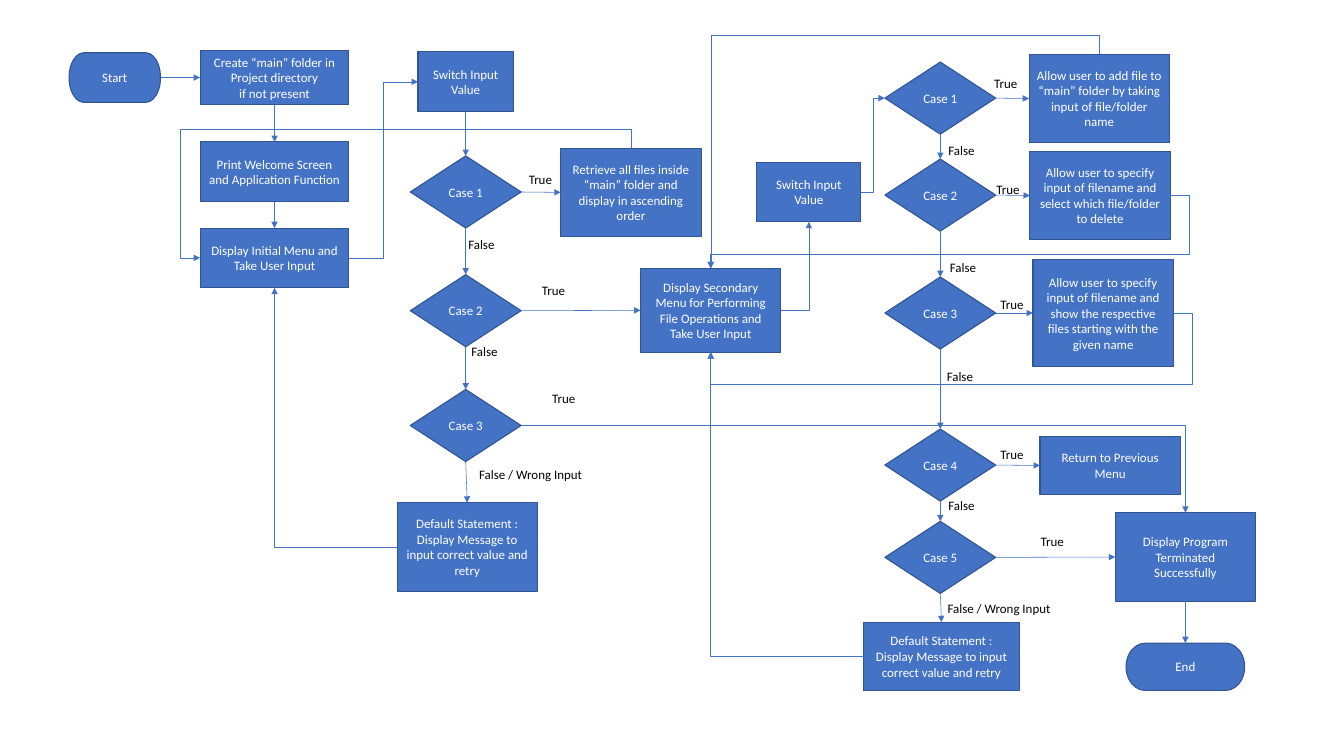
from lxml.etree import SubElement
from pptx import Presentation
from pptx.dml.color import RGBColor
from pptx.enum.shapes import MSO_CONNECTOR as CONNECTOR, MSO_SHAPE as SHAPE
from pptx.enum.text import MSO_ANCHOR as ANCHOR, MSO_AUTO_SIZE as AUTO_SIZE, PP_ALIGN as ALIGN
from pptx.oxml.ns import qn
from pptx.util import Inches, Pt

BLUE = RGBColor(0x44, 0x72, 0xC4)
BORDER = RGBColor(0x32, 0x54, 0x91)
WHITE = RGBColor(255, 255, 255)
BLACK = RGBColor(0, 0, 0)
TOP, LEFT, BOTTOM, RIGHT = range(4)
CASE_WIDTH, CASE_HEIGHT = 1.43, 0.93
ACTION_WIDTH, ACTION_HEIGHT = 1.81, 1.14
LABEL_WIDTHS = {"True": 0.5, "False": 0.54, "False / Wrong Input": 1.54}
RETRY = "Default Statement : Display Message to input correct value and retry"


def write(shape, text, color, align):
    """Write one formatted paragraph per line of text."""
    shape.text_frame.text = text
    for paragraph in shape.text_frame.paragraphs:
        paragraph.alignment = align
        font_format = {"name": "Calibri", "size": Pt(12)}
        for name, value in font_format.items():
            setattr(paragraph.font, name, value)
        paragraph.font.color.rgb = color


def add_node(slide, kind, text, left, top, width, height):
    """Add a blue flowchart node with centred white text."""
    shape = slide.shapes.add_shape(kind, *map(Inches, (left, top, width, height)))
    shape.shadow.inherit = False
    shape.fill.solid()
    shape.fill.fore_color.rgb = BLUE
    shape.line.color.rgb = BORDER
    shape.line.width = Pt(1)
    write(shape, text, WHITE, ALIGN.CENTER)
    frame_format = {"word_wrap": True, "vertical_anchor": ANCHOR.MIDDLE}
    for name, value in frame_format.items():
        setattr(shape.text_frame, name, value)
    return shape


def add_labels(slide, text, left, top, places):
    """Add the same branch label at each place within the region."""
    for x, y in places:
        box = slide.shapes.add_textbox(
            *map(Inches, (left + x, top + y, LABEL_WIDTHS[text], 0.3)))
        write(box, text, BLACK, ALIGN.LEFT)
        frame_format = {"word_wrap": False, "auto_size": AUTO_SIZE.SHAPE_TO_FIT_TEXT}
        for name, value in frame_format.items():
            setattr(box.text_frame, name, value)


def style_arrow(connector, arrow_end="tailEnd", preset=None, adjustments=()):
    """Format a connector, its arrowhead and its bends."""
    connector.line.color.rgb = BLUE
    connector.line.width = Pt(0.5)
    properties = connector._element.spPr
    SubElement(properties.find(qn("a:ln")), qn("a:" + arrow_end), type="triangle")
    SubElement(properties, qn("a:effectLst"))
    geometry = properties.find(qn("a:prstGeom"))
    if preset:
        geometry.set("prst", preset)
    for number, ratio in enumerate(adjustments, 1):
        SubElement(geometry.find(qn("a:avLst")), qn("a:gd"), name=f"adj{number}",
                   fmla=f"val {round(ratio * 100000)}")


def link(slide, start, start_side, end, end_side, kind=CONNECTOR.STRAIGHT, **bends):
    """Join the sides of two nodes with an arrow."""
    connector = slide.shapes.add_connector(kind, 0, 0, 0, 0)
    connector.begin_connect(start, start_side)
    connector.end_connect(end, end_side)
    style_arrow(connector, **bends)


def link_corner(slide, start, start_side, end, end_side):
    """Join two nodes with an arrow that turns once."""
    link(slide, start, start_side, end, end_side, CONNECTOR.ELBOW, preset="bentConnector2")


def link_chain(slide, nodes):
    """Join nodes downwards, one after the other."""
    for upper, lower in zip(nodes, nodes[1:]):
        link(slide, upper, BOTTOM, lower, TOP)


def link_over(slide, start, end, rise):
    """Join two node tops with an arrow that first rises."""
    start_x, end_x = (node.left + node.width // 2 for node in (start, end))
    width, height = end.top - start.top, start_x - end_x
    left = (start_x + end_x - width) // 2
    top = (start.top + end.top - height) // 2
    connector = slide.shapes.add_connector(
        CONNECTOR.ELBOW, left, top, left + width, top + height)
    connector._element.spPr.find(qn("a:xfrm")).set("rot", "5400000")
    style_arrow(connector, adjustments=[-Inches(rise) / width])


def add_cases(slide, left, tops):
    """Add a numbered column of decisions."""
    return [add_node(slide, SHAPE.FLOWCHART_DECISION, f"Case {number}",
                     left, top, CASE_WIDTH, CASE_HEIGHT)
            for number, top in enumerate(tops, 1)]


def add_setup(slide, left, top):
    """Add the start and setup steps; return the initial menu."""
    start = add_node(slide, SHAPE.FLOWCHART_TERMINATOR, "Start", left, top + 0.03, 1.18, 0.64)
    steps = [add_node(slide, SHAPE.RECTANGLE, text, left + 1.69, top + y, 1.92, height)
             for text, y, height in (
                 ("Create “main” folder in Project directory\nif not present", 0, 0.7),
                 ("Print Welcome Screen and Application Function", 1.18, 0.77),
                 ("Display Initial Menu and Take User Input", 2.29, 0.77))]
    link(slide, start, RIGHT, steps[0], LEFT)
    link_chain(slide, steps)
    return steps[-1]


def add_main_switch(slide, left, top, menu):
    """Add the initial menu's decisions; return them."""
    switch = add_node(slide, SHAPE.RECTANGLE, "Switch Input\nValue",
                      left + 0.39, top + 0.17, 1.23, 0.77)
    cases = add_cases(slide, left + 0.29, [top + y for y in (1.51, 3.04, 4.52)])
    retrieve = add_node(
        slide, SHAPE.FLOWCHART_PROCESS,
        "Retrieve all files inside “main” folder and display in ascending order",
        left + 2.23, top + 1.41, ACTION_WIDTH, ACTION_HEIGHT)
    retry = add_node(slide, SHAPE.FLOWCHART_PROCESS, RETRY,
                     left + 0.12, top + 5.98, ACTION_WIDTH, ACTION_HEIGHT)
    link(slide, menu, RIGHT, switch, LEFT, CONNECTOR.ELBOW)
    link_chain(slide, [switch, *cases, retry])
    link(slide, cases[0], RIGHT, retrieve, LEFT)
    link_corner(slide, retry, LEFT, menu, BOTTOM)
    link(slide, menu, LEFT, retrieve, TOP, CONNECTOR.ELBOW, arrow_end="headEnd",
         preset="bentConnector4", adjustments=[-0.045, 1.176])
    add_labels(slide, "True", left, top, [(1.72, 1.66), (1.89, 3.1), (2.02, 4.49)])
    add_labels(slide, "False", left, top, [(0.94, 2.5), (0.98, 3.88)])
    add_labels(slide, "False / Wrong Input", left, top, [(1.08, 5.46)])
    return cases


def add_file_switch(slide, left, top):
    """Add the secondary menu and its decisions; return the menu and last case."""
    menu = add_node(
        slide, SHAPE.FLOWCHART_PROCESS,
        "Display Secondary Menu for Performing File Operations and Take User Input",
        left + 0.26, top + 2.96, ACTION_WIDTH, 1.08)
    switch = add_node(slide, SHAPE.RECTANGLE, "Switch Input\nValue",
                      left + 1.76, top + 1.59, 1.34, 0.77)
    cases = add_cases(slide, left + 3.41, [top + y for y in (0.3, 1.55, 3.07, 5.03, 6.22)])
    actions = [add_node(slide, SHAPE.FLOWCHART_PROCESS, text,
                        left + x, top + y, ACTION_WIDTH, height)
               for text, x, y, height in (
                   ("Allow user to add file to “main” folder by taking input of "
                    "file/folder name", 5.27, 0.2, ACTION_HEIGHT),
                   ("Allow user to specify input of filename and select which "
                    "file/folder to delete", 5.28, 1.45, ACTION_HEIGHT),
                   ("Allow user to specify input of filename and show the respective "
                    "files starting with the given name", 5.32, 2.85, 1.37),
                   ("Return to Previous Menu", 5.41, 5.13, 0.74))]
    retry = add_node(slide, SHAPE.FLOWCHART_PROCESS, RETRY, left + 3.14, top + 7.52, 2, 0.88)
    link_corner(slide, menu, RIGHT, switch, BOTTOM)
    link(slide, switch, RIGHT, cases[0], LEFT, CONNECTOR.ELBOW)
    link_chain(slide, [*cases, retry])
    for case, action in zip(cases, actions):
        link(slide, case, RIGHT, action, LEFT)
    link_corner(slide, retry, LEFT, menu, BOTTOM)
    link_over(slide, actions[0], menu, 0.25)
    for action, side, ratio in ((actions[1], TOP, 0.802), (actions[2], BOTTOM, 1.83)):
        link(slide, action, RIGHT, menu, side, CONNECTOR.ELBOW,
             preset="bentConnector4", adjustments=[-0.042, ratio])
    add_labels(slide, "True", left, top,
               [(4.72, 0.43), (4.75, 1.79), (4.8, 3.28), (4.8, 5.21), (5.32, 6.33)])
    add_labels(slide, "False", left, top,
               [(4.13, 1.29), (4.15, 2.8), (4.11, 4.2), (4.13, 5.86)])
    add_labels(slide, "False / Wrong Input", left, top, [(4.12, 7.19)])
    return menu, cases[-1]


def add_ending(slide, left, top):
    """Add the closing steps; return the termination message."""
    message = add_node(slide, SHAPE.FLOWCHART_PROCESS, "Display Program Terminated Successfully",
                       left, top, ACTION_WIDTH, ACTION_HEIGHT)
    end = add_node(slide, SHAPE.FLOWCHART_TERMINATOR, "End", left + 0.14, top + 1.68, 1.53, 0.61)
    link_chain(slide, [message, end])
    return message


presentation = Presentation()
presentation.slide_width, presentation.slide_height = Inches(17.33), Inches(9.5)
slide = presentation.slides.add_slide(presentation.slide_layouts[6])
initial_menu = add_setup(slide, 0.89, 0.65)
main_cases = add_main_switch(slide, 5, 0.5, initial_menu)
file_menu, last_file_case = add_file_switch(slide, 8, 0.5)
message = add_ending(slide, 14.38, 6.61)
link(slide, main_cases[1], RIGHT, file_menu, LEFT)
link_corner(slide, main_cases[2], RIGHT, message, TOP)
link(slide, last_file_case, RIGHT, message, LEFT)
presentation.save("out.pptx")
